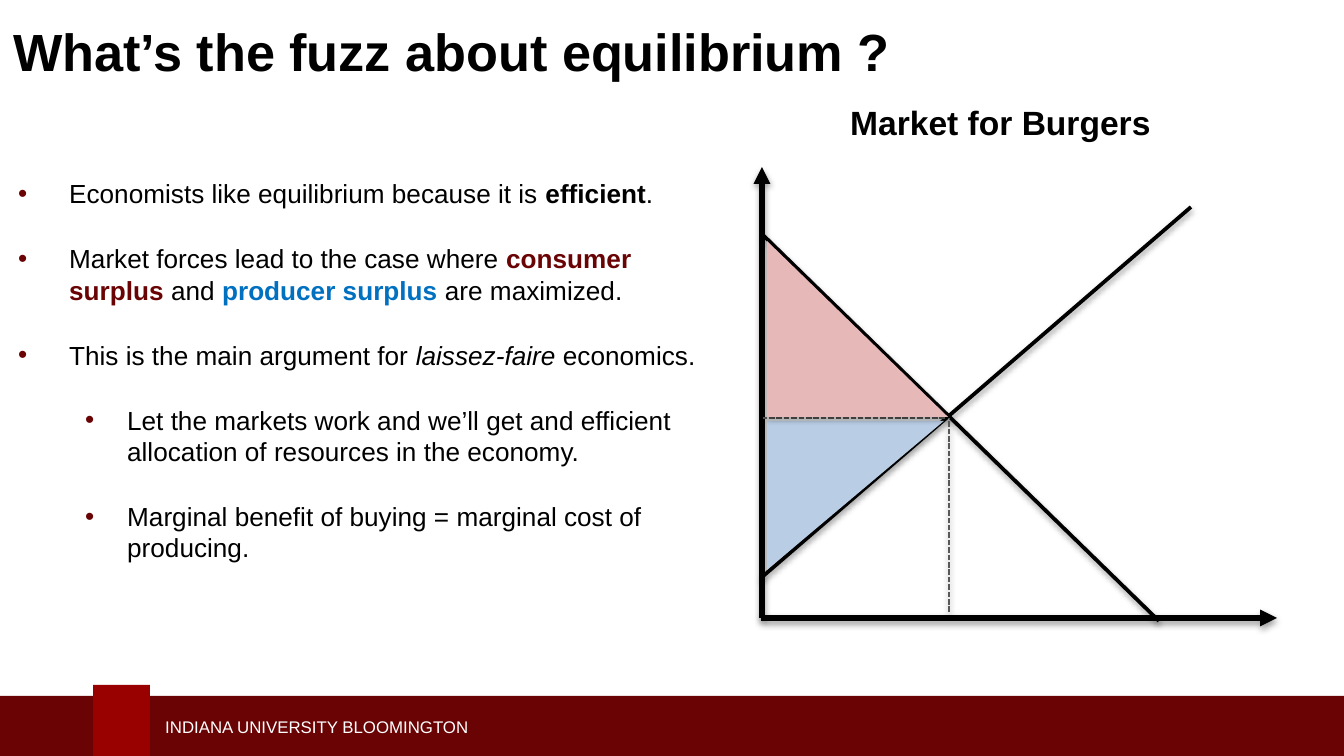
from dataclasses import dataclass

from lxml.etree import SubElement
from pptx import Presentation
from pptx.dml.color import RGBColor
from pptx.enum.dml import MSO_LINE
from pptx.enum.shapes import MSO_CONNECTOR, MSO_SHAPE
from pptx.enum.text import MSO_ANCHOR, PP_ALIGN
from pptx.oxml.ns import qn
from pptx.util import Emu, Pt

PX = 914400 / 134.4


def px(n):
    return Emu(round(n * PX))


@dataclass(frozen=True)
class Theme:
    font: str = "Arial"
    ink: str = "000000"
    white: str = "FFFFFF"
    crimson: str = "690304"
    red: str = "990000"
    blue: str = "0070C0"
    guide: str = "595959"
    consumer: str = "E6B9B8"
    producer: str = "B9CDE5"
    title: int = 28
    heading: int = 18
    body: int = 14
    footer: int = 9


T = Theme()


def add_run(p, text, size=T.body, color=T.ink, bold=False, italic=False):
    r = p.add_run()
    r.text = text
    f = r.font
    f.name, f.size, f.bold, f.italic = T.font, Pt(size), bold, italic
    f.color.rgb = RGBColor.from_string(color)


def add_shadow(effects, alpha):
    shadow = SubElement(effects, qn("a:outerShdw"), blurRad="40000", dist="20000",
                        dir="5400000", rotWithShape="0")
    color = SubElement(shadow, qn("a:srgbClr"), val=T.ink)
    SubElement(color, qn("a:alpha"), val=str(alpha * 1000))


class SlideBuilder:
    def __init__(self, slide, theme):
        self.slide = slide
        self.theme = theme

    def shape(self, kind, x, y, w, h, fill):
        s = self.slide.shapes.add_shape(kind, px(x), px(y), px(w), px(h))
        s.fill.solid()
        s.fill.fore_color.rgb = RGBColor.from_string(fill)
        s.line.fill.background()
        s.shadow.inherit = False
        return s

    def surplus(self, x, y, w, h, fill, flip=False):
        """Right-angled area against the price axis."""
        s = self.shape(MSO_SHAPE.ISOSCELES_TRIANGLE, x, y, w, h, fill)
        s.adjustments[0] = 0
        spPr = s.element.spPr
        if flip:
            spPr.find(qn("a:xfrm")).set("flipV", "1")
        add_shadow(spPr.find(qn("a:effectLst")), 35)

    def line(self, start, end, width, color=T.ink, dashed=False, arrow=False):
        s = self.slide.shapes.add_connector(
            MSO_CONNECTOR.STRAIGHT, *(px(n) for n in (*start, *end)))
        s.line.width = Pt(width)
        s.line.color.rgb = RGBColor.from_string(color)
        if dashed:
            s.line.dash_style = MSO_LINE.SQUARE_DOT
        spPr = s.element.spPr
        if arrow:
            SubElement(spPr.find(qn("a:ln")), qn("a:tailEnd"), type="triangle")
        add_shadow(SubElement(spPr, qn("a:effectLst")), 38)

    def text_box(self, x, y, w, h, anchor=MSO_ANCHOR.TOP):
        tf = self.slide.shapes.add_textbox(px(x), px(y), px(w), px(h)).text_frame
        tf.word_wrap = True
        tf.vertical_anchor = anchor
        return tf

    def label(self, text, x, y, w, h, anchor=MSO_ANCHOR.MIDDLE,
              align=PP_ALIGN.LEFT, **style):
        p = self.text_box(x, y, w, h, anchor).paragraphs[0]
        p.alignment = align
        add_run(p, text, **style)

    def bullets(self, x, y, w, h, items):
        """Each item is a level and a list of (text, format) runs."""
        indents = [(51, 51), (109, 42)]
        tf = self.text_box(x, y, w, h)
        for i, (level, runs) in enumerate(items):
            p = tf.add_paragraph() if i else tf.paragraphs[0]
            p.level = level
            p.space_after = Pt(18)
            margin, hang = indents[level]
            pPr = p._p.get_or_add_pPr()
            pPr.set("marL", str(px(margin)))
            pPr.set("indent", str(-px(hang)))
            SubElement(SubElement(pPr, qn("a:buClr")), qn("a:srgbClr"),
                       val=self.theme.crimson)
            SubElement(pPr, qn("a:buFont"), typeface=self.theme.font)
            SubElement(pPr, qn("a:buChar"), char="•")
            for text, style in runs:
                add_run(p, text, **style)


def main():
    prs = Presentation()
    prs.slide_width, prs.slide_height = px(1344), px(756)
    b = SlideBuilder(prs.slides.add_slide(prs.slide_layouts[6]), T)

    b.shape(MSO_SHAPE.RECTANGLE, 0, 696, 1344, 60, T.crimson)
    b.shape(MSO_SHAPE.RECTANGLE, 93, 685, 57, 71, T.red)
    b.label("INDIANA UNIVERSITY BLOOMINGTON", 152, 710, 531, 34,
            size=T.footer, color=T.white)
    b.label("What’s the fuzz about equilibrium ?", 0, 0, 1344, 102,
            size=T.title, bold=True)

    b.bullets(5, 171, 719, 520, [
        (0, [("Economists like equilibrium because it is ", {}),
             ("efficient", {"bold": True}), (".", {})]),
        (0, [("Market forces lead to the case where ", {}),
             ("consumer surplus ", {"bold": True, "color": T.crimson}),
             ("and ", {}),
             ("producer surplus ", {"bold": True, "color": T.blue}),
             ("are maximized.", {})]),
        (0, [("This is the main argument for ", {}),
             ("laissez-faire ", {"italic": True}), ("economics.", {})]),
        (1, [("Let the markets work and we’ll get and efficient allocation "
              "of resources in the economy.", {})]),
        (1, [("Marginal benefit of buying = marginal cost of producing.", {})]),
    ])

    # Axes, supply, demand, then the equilibrium price and quantity
    b.line((762, 618), (762, 167), 3, arrow=True)
    b.line((761, 618), (1277, 618), 3, arrow=True)
    b.line((761, 578), (1191, 207), 2)
    b.line((763, 235), (1159, 621), 2)
    b.line((945, 418), (763, 418), 1, T.guide, dashed=True)
    b.line((949, 612), (949, 418), 1, T.guide, dashed=True)
    b.label("Market for Burgers", 747, 95, 507, 46, anchor=MSO_ANCHOR.TOP,
            align=PP_ALIGN.CENTER, size=T.heading, bold=True)
    b.surplus(767, 421, 177, 149, T.producer, flip=True)
    b.surplus(767, 241, 181, 176, T.consumer)

    prs.save("out.pptx")


if __name__ == "__main__":
    main()
